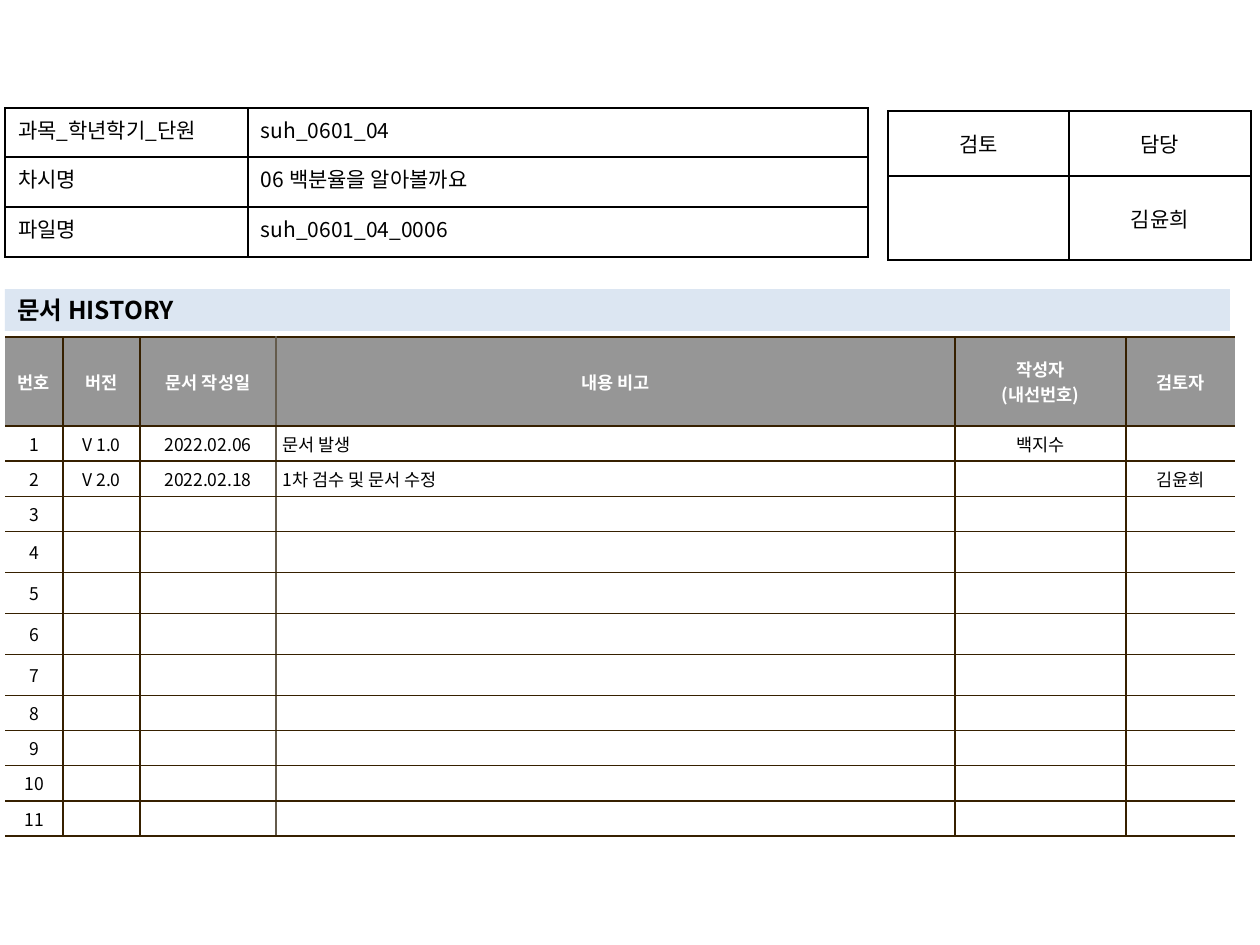
from dataclasses import dataclass

import pptx
import pptx.dml.color
import pptx.enum.shapes
import pptx.enum.text
import pptx.oxml
import pptx.oxml.ns
import pptx.util

SCALE = 914400 / 126
FACE = "Noto Sans CJK KR"
INK = {"black": "000000", "white": "FFFFFF", "head": "969696",
       "band": "DCE6F2", "brown": "362000", "taupe": "645B4C"}
ALIGN = pptx.enum.text.PP_ALIGN
MIDDLE = pptx.enum.text.MSO_ANCHOR.MIDDLE
TOP = pptx.enum.text.MSO_ANCHOR.TOP


@dataclass
class Look:
    size: int
    align: ALIGN = ALIGN.LEFT
    color: str = "black"
    bold: bool = False
    hang: int = 0


@dataclass
class Grid:
    left: int
    top: int
    cols: list[int]
    rows: list[int]
    texts: list[list[str]]
    pad: tuple[int, int]
    anchor: pptx.enum.text.MSO_ANCHOR


def px(count: int) -> int:
    return pptx.util.Emu(round(count * SCALE))


def rgb(name: str) -> pptx.dml.color.RGBColor:
    return pptx.dml.color.RGBColor.from_string(INK[name])


def write(frame, text: str, look: Look) -> None:
    """Fill a text frame, one paragraph per line of text."""
    for i, line in enumerate(text.split("\n")):
        para = frame.paragraphs[0] if i == 0 else frame.add_paragraph()
        para.alignment = look.align
        if look.hang:
            props = para._p.get_or_add_pPr()
            props.set("marL", str(px(look.hang)))
            props.set("indent", str(-px(look.hang)))
        if not line:
            # Keeps an empty cell as low as its row
            para._p.get_or_add_endParaRPr().set("sz", str(look.size * 100))
            continue
        run = para.add_run()
        run.text = line
        form = {"name": FACE, "size": pptx.util.Pt(look.size), "bold": look.bold}
        for key, value in form.items():
            setattr(run.font, key, value)
        run.font.color.rgb = rgb(look.color)
        east = pptx.oxml.parse_xml(
            f'<a:ea {pptx.oxml.ns.nsdecls("a")} typeface="{FACE}"/>')
        run.font._element.append(east)


def edge(cell, side: str, color: str) -> None:
    """Add one cell border; an empty colour hides it."""
    paint = (f'<a:solidFill><a:srgbClr val="{INK[color]}"/></a:solidFill>'
             if color else "<a:noFill/>")
    cell._tc.get_or_add_tcPr().append(pptx.oxml.parse_xml(
        f'<a:ln{side} {pptx.oxml.ns.nsdecls("a")} w="12700">{paint}</a:ln{side}>'))


def draw(slide, grid: Grid, style, lines: list[str]) -> None:
    """Draw a table; lines holds the colour of each vertical rule."""
    frame = slide.shapes.add_table(
        len(grid.rows), len(grid.cols), px(grid.left), px(grid.top),
        px(sum(grid.cols)), px(sum(grid.rows)))
    table = frame.table
    table.first_row = table.horz_banding = False
    for col, width in zip(table.columns, grid.cols):
        col.width = px(width)
    for row, height in zip(table.rows, grid.rows):
        row.height = px(height)
    rule = next(filter(None, lines))
    wide, high = map(px, grid.pad)
    form = {"margin_left": wide, "margin_right": wide, "margin_top": high,
            "margin_bottom": high, "vertical_anchor": grid.anchor}
    for r, texts in enumerate(grid.texts):
        for c, text in enumerate(texts):
            cell = table.cell(r, c)
            look, fill = style(r, c)
            for side, color in zip("LRTB", (lines[c], lines[c + 1], rule, rule)):
                edge(cell, side, color)
            if fill:
                cell.fill.solid()
                cell.fill.fore_color.rgb = rgb(fill)
            else:
                cell.fill.background()
            for key, value in form.items():
                setattr(cell, key, value)
            write(cell.text_frame, text, look)


def log_style(r: int, c: int) -> tuple[Look, str]:
    if r == 0:
        return Look(10, ALIGN.CENTER, "white", True), "head"
    if c == 3:
        return Look(10, hang=24), "white"
    return Look(10, ALIGN.CENTER), "white"


def sign_style(r: int, c: int) -> tuple[Look, str]:
    return Look(12, ALIGN.CENTER), ""


def info_style(r: int, c: int) -> tuple[Look, str]:
    return Look(12, ALIGN.LEFT if c else ALIGN.JUSTIFY), ""


def main() -> None:
    deck = pptx.Presentation()
    deck.slide_width, deck.slide_height = px(1260), px(945)
    slide = deck.slides.add_slide(deck.slide_layouts[6])

    # Document history
    heads = ["번호", "버전", "문서 작성일", "내용 비고", "작성자\n(내선번호)", "검토자"]
    notes = [["V 1.0", "2022.02.06", "문서 발생", "백지수", ""],
             ["V 2.0", "2022.02.18", "1차 검수 및 문서 수정", "", "김윤희"]]
    notes += [[""] * 5] * 9
    body = [[str(n), *note] for n, note in enumerate(notes, 1)]
    log = Grid(5, 337, [58, 77, 136, 679, 171, 109],
               [89] + [35] * 3 + [41] * 4 + [35] * 4,
               [heads, *body], (7, 5), MIDDLE)
    draw(slide, log, log_style,
         ["", "brown", "brown", "taupe", "brown", "brown", ""])

    # Sign-off
    sign = Grid(888, 111, [181, 182], [65, 84],
                [["검토", "담당"], ["", "김윤희"]], (13, 6), MIDDLE)
    draw(slide, sign, sign_style, ["black"] * 3)

    # Section band
    band = slide.shapes.add_shape(pptx.enum.shapes.MSO_SHAPE.RECTANGLE,
                                  px(5), px(289), px(1225), px(42))
    band.shadow.inherit = False
    band.fill.solid()
    band.fill.fore_color.rgb = rgb("band")
    band.line.fill.background()
    band.text_frame.word_wrap = True
    band.text_frame.vertical_anchor = MIDDLE
    write(band.text_frame, "문서 HISTORY", Look(14, bold=True))

    # Lesson details
    info = Grid(5, 108, [243, 620], [49, 50, 50],
                [["과목_학년학기_단원", "suh_0601_04"],
                 ["차시명", "06 백분율을 알아볼까요"],
                 ["파일명", "suh_0601_04_0006"]], (13, 6), TOP)
    draw(slide, info, info_style, ["black"] * 3)

    deck.save("out.pptx")


if __name__ == "__main__":
    main()
